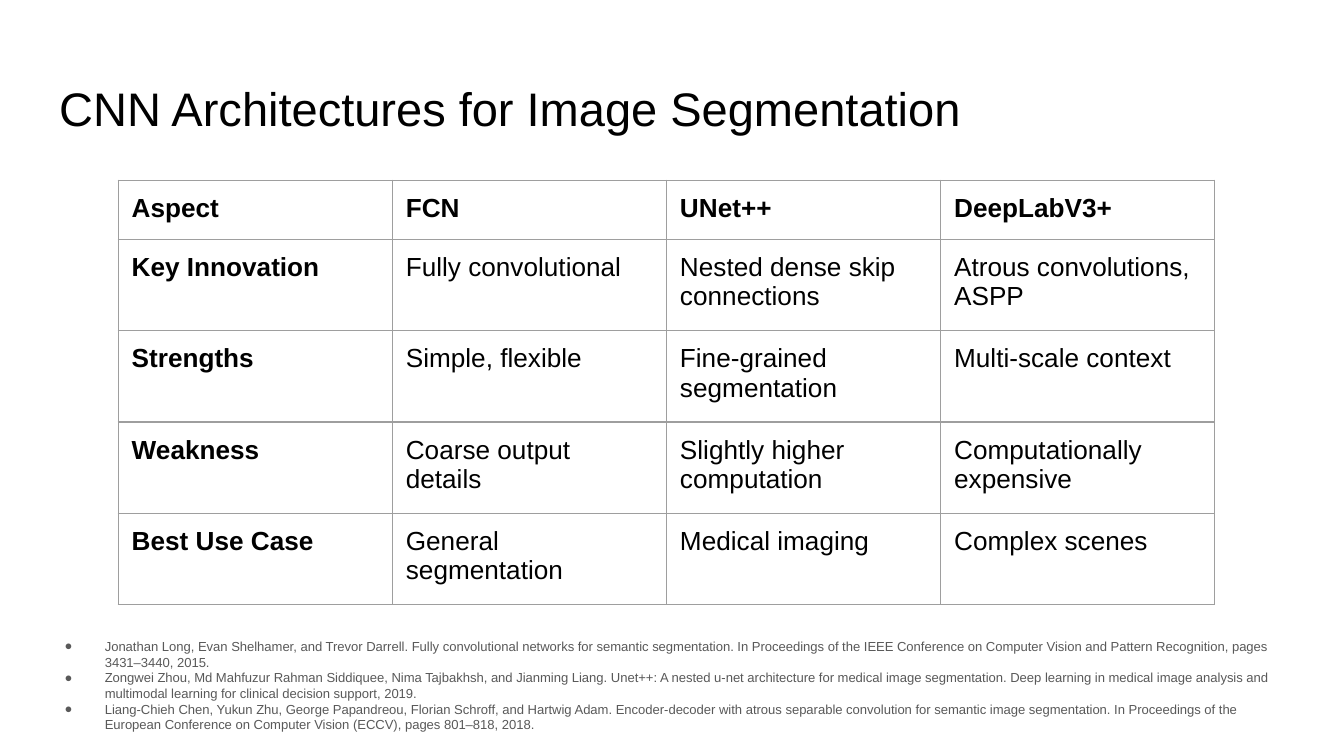
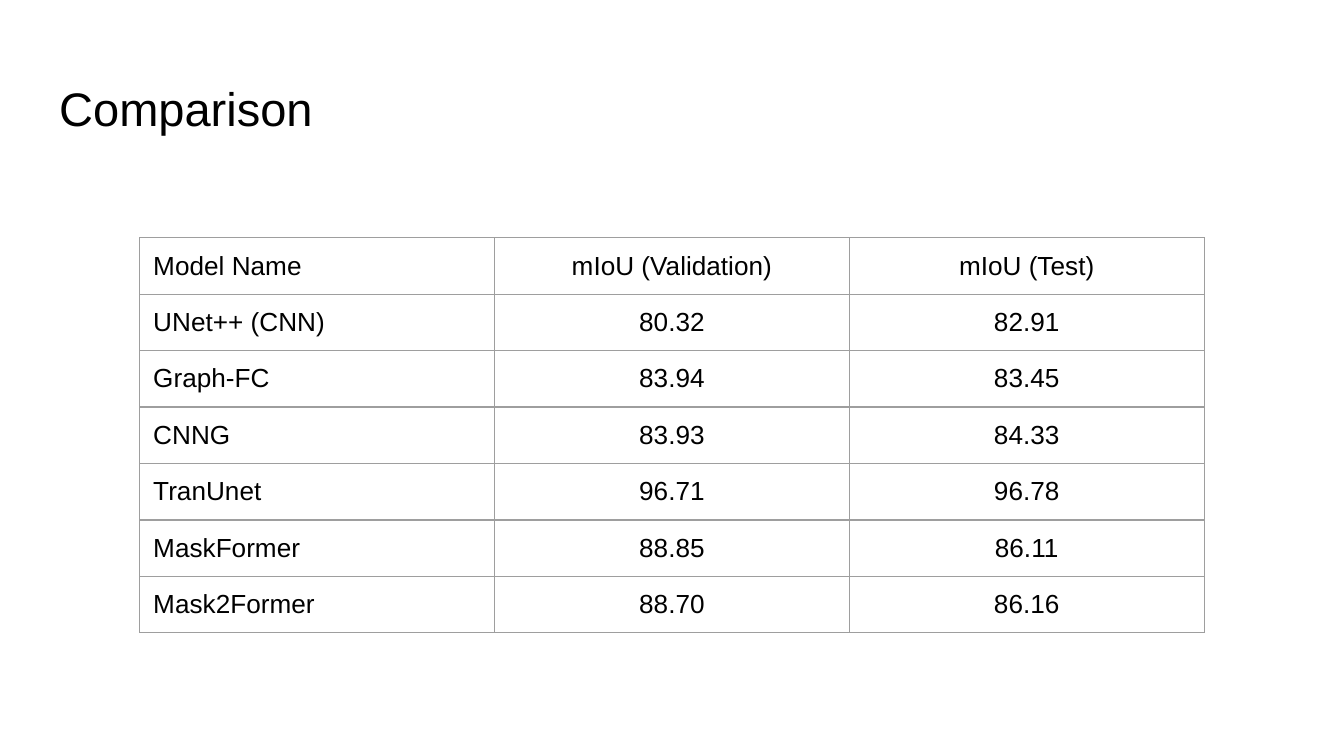
from dataclasses import dataclass

from lxml import etree
from pptx import Presentation
from pptx.dml.color import RGBColor
from pptx.enum.text import MSO_ANCHOR, MSO_AUTO_SIZE, PP_ALIGN
from pptx.oxml.ns import qn
from pptx.util import Inches, Pt

LEFT, CENTER = PP_ALIGN.LEFT, PP_ALIGN.CENTER
TOP = MSO_ANCHOR.TOP
NO_AUTOFIT = MSO_AUTO_SIZE.NONE

COLORS = {"text": "000000", "reference": "595959", "border": "9E9E9E"}
FONT = "Arial"
INSET = Inches(0.1)
MARGINS = dict.fromkeys(
    ("margin_left", "margin_top", "margin_right", "margin_bottom"), INSET)
LIST_LAYOUT, TITLE_LAYOUT = 1, 5


@dataclass(frozen=True)
class Grid:
    left: float
    top: float
    column_width: float
    header_height: float
    row_height: float
    rows: tuple
    value_align: PP_ALIGN = LEFT
    bold_headings: bool = False


ARCHITECTURES = Grid(
    0.88, 1.34, 2.04, 0.44, 0.68,
    (
        ("Aspect", "FCN", "UNet++", "DeepLabV3+"),
        ("Key Innovation", "Fully convolutional",
         "Nested dense skip connections", "Atrous convolutions, ASPP"),
        ("Strengths", "Simple, flexible",
         "Fine-grained segmentation", "Multi-scale context"),
        ("Weakness", "Coarse output details",
         "Slightly higher computation", "Computationally expensive"),
        ("Best Use Case", "General segmentation",
         "Medical imaging", "Complex scenes"),
    ),
    bold_headings=True,
)

SCORES = Grid(
    1.04, 1.77, 2.64, 0.42, 0.42,
    (
        ("Model Name", "mIoU (Validation)", "mIoU (Test)"),
        ("UNet++ (CNN)", "80.32", "82.91"),
        ("Graph-FC", "83.94", "83.45"),
        ("CNNG", "83.93", "84.33"),
        ("TranUnet", "96.71", "96.78"),
        ("MaskFormer", "88.85", "86.11"),
        ("Mask2Former", "88.70", "86.16"),
    ),
    value_align=CENTER,
)

REFERENCES = (
    "Jonathan Long, Evan Shelhamer, and Trevor Darrell. Fully convolutional "
    "networks for semantic segmentation. In Proceedings of the IEEE Conference "
    "on Computer Vision and Pattern Recognition, pages 3431–3440, 2015.",
    "Zongwei Zhou, Md Mahfuzur Rahman Siddiquee, Nima Tajbakhsh, and Jianming "
    "Liang. Unet++: A nested u-net architecture for medical image segmentation. "
    "Deep learning in medical image analysis and multimodal learning for "
    "clinical decision support, 2019.",
    "Liang-Chieh Chen, Yukun Zhu, George Papandreou, Florian Schroff, and "
    "Hartwig Adam. Encoder-decoder with atrous separable convolution for "
    "semantic image segmentation. In Proceedings of the European Conference on "
    "Computer Vision (ECCV), pages 801–818, 2018.",
)


def apply(target, values: dict) -> None:
    for attribute, value in values.items():
        setattr(target, attribute, value)


def style_font(paragraph, size: float, color: str, bold: bool = False) -> None:
    for run in paragraph.runs:
        apply(run.font, {"name": FONT, "size": Pt(size), "bold": bold})
        run.font.color.rgb = RGBColor.from_string(COLORS[color])


def place(shape, left: float, top: float, width: float, height: float) -> None:
    """Move a placeholder and give its text the shared frame."""
    apply(shape, {"left": Inches(left), "top": Inches(top),
                  "width": Inches(width), "height": Inches(height)})
    apply(shape.text_frame, MARGINS | {
        "word_wrap": True, "auto_size": NO_AUTOFIT, "vertical_anchor": TOP})


def add_titled_slide(deck, layout: int, heading: str):
    slide = deck.slides.add_slide(deck.slide_layouts[layout])
    title = slide.shapes.title
    place(title, 0.34, 0.49, 9.32, 0.63)
    title.text_frame.text = heading
    paragraph = title.text_frame.paragraphs[0]
    paragraph.alignment = LEFT
    style_font(paragraph, 25.2, "text")
    return slide


def set_borders(cell) -> None:
    properties = cell._tc.get_or_add_tcPr()
    for position, side in enumerate(("lnL", "lnR", "lnT", "lnB")):
        line = etree.Element(qn(f"a:{side}"), w=str(Pt(0.75)))
        fill = etree.SubElement(line, qn("a:solidFill"))
        etree.SubElement(fill, qn("a:srgbClr"), val=COLORS["border"])
        properties.insert(position, line)


def add_grid(slide, grid: Grid) -> None:
    row_count, column_count = len(grid.rows), len(grid.rows[0])
    height = grid.header_height + grid.row_height * (row_count - 1)
    table = slide.shapes.add_table(
        row_count, column_count, Inches(grid.left), Inches(grid.top),
        Inches(grid.column_width * column_count), Inches(height)).table
    apply(table, {"first_row": False, "horz_banding": False})
    for column in table.columns:
        column.width = Inches(grid.column_width)
    for r, texts in enumerate(grid.rows):
        table.rows[r].height = Inches(grid.row_height if r else grid.header_height)
        for c, text in enumerate(texts):
            cell = table.cell(r, c)
            apply(cell, MARGINS | {"text": text, "vertical_anchor": TOP})
            cell.fill.background()
            set_borders(cell)
            paragraph = cell.text_frame.paragraphs[0]
            paragraph.alignment = grid.value_align if c else LEFT
            style_font(paragraph, 14, "text",
                       grid.bold_headings and 0 in (r, c))


def set_bullet(paragraph) -> None:
    properties = paragraph._p.get_or_add_pPr()
    for name, length in {"marL": 0.5, "indent": -0.3}.items():
        properties.set(name, str(Inches(length)))
    color = etree.SubElement(properties, qn("a:buClr"))
    etree.SubElement(color, qn("a:srgbClr"), val=COLORS["reference"])
    etree.SubElement(properties, qn("a:buFont"), typeface=FONT)
    etree.SubElement(properties, qn("a:buChar"), char="●")


def fill_references(slide) -> None:
    body = slide.placeholders[1]
    place(body, 0.18, 4.65, 9.55, 0.91)
    body.text_frame.text = "\n".join(REFERENCES)
    for paragraph in body.text_frame.paragraphs:
        set_bullet(paragraph)
        apply(paragraph, {"alignment": LEFT, "line_spacing": 1.0,
                          "space_before": Pt(0), "space_after": Pt(0)})
        style_font(paragraph, 7, "reference")


def main() -> None:
    deck = Presentation()
    deck.slide_width = Inches(10)
    deck.slide_height = Inches(10 * 9 / 16)

    architectures = add_titled_slide(
        deck, LIST_LAYOUT, "CNN Architectures for Image Segmentation")
    add_grid(architectures, ARCHITECTURES)
    fill_references(architectures)

    comparison = add_titled_slide(deck, TITLE_LAYOUT, "Comparison")
    add_grid(comparison, SCORES)

    deck.save("out.pptx")


if __name__ == "__main__":
    main()
